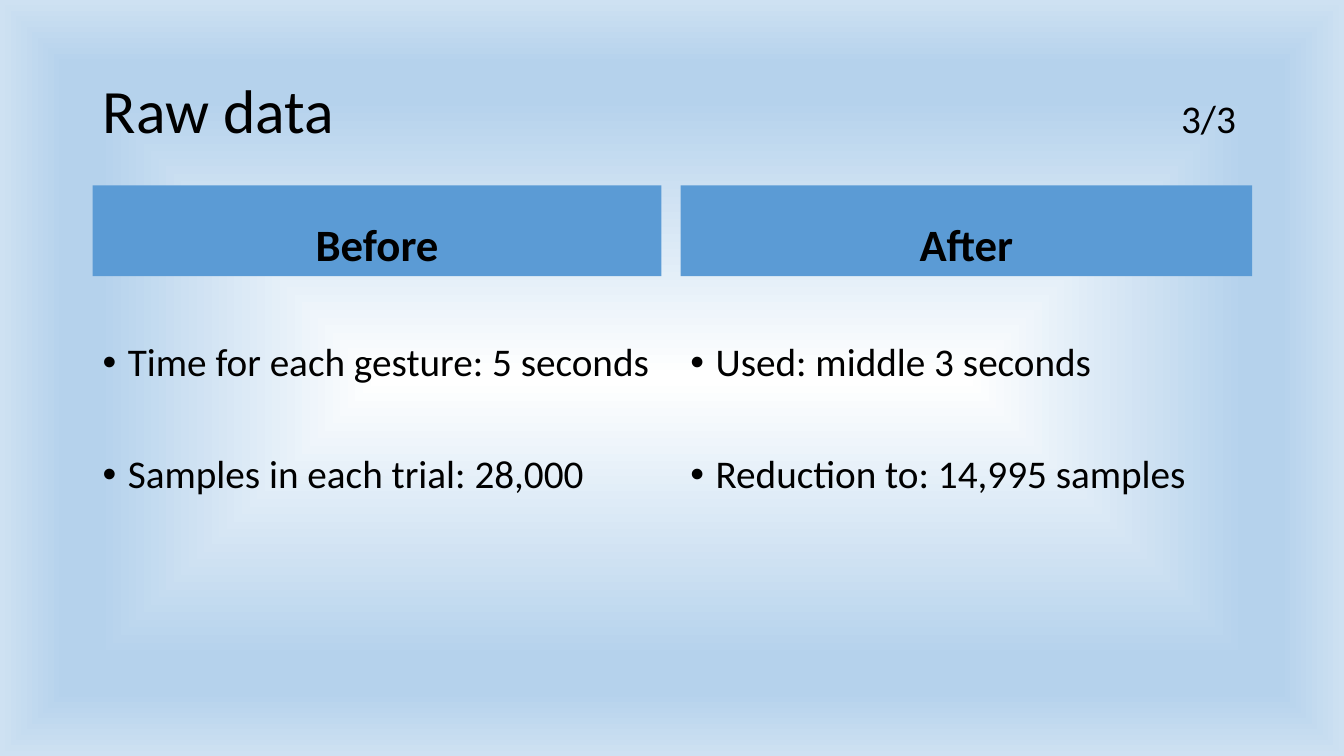
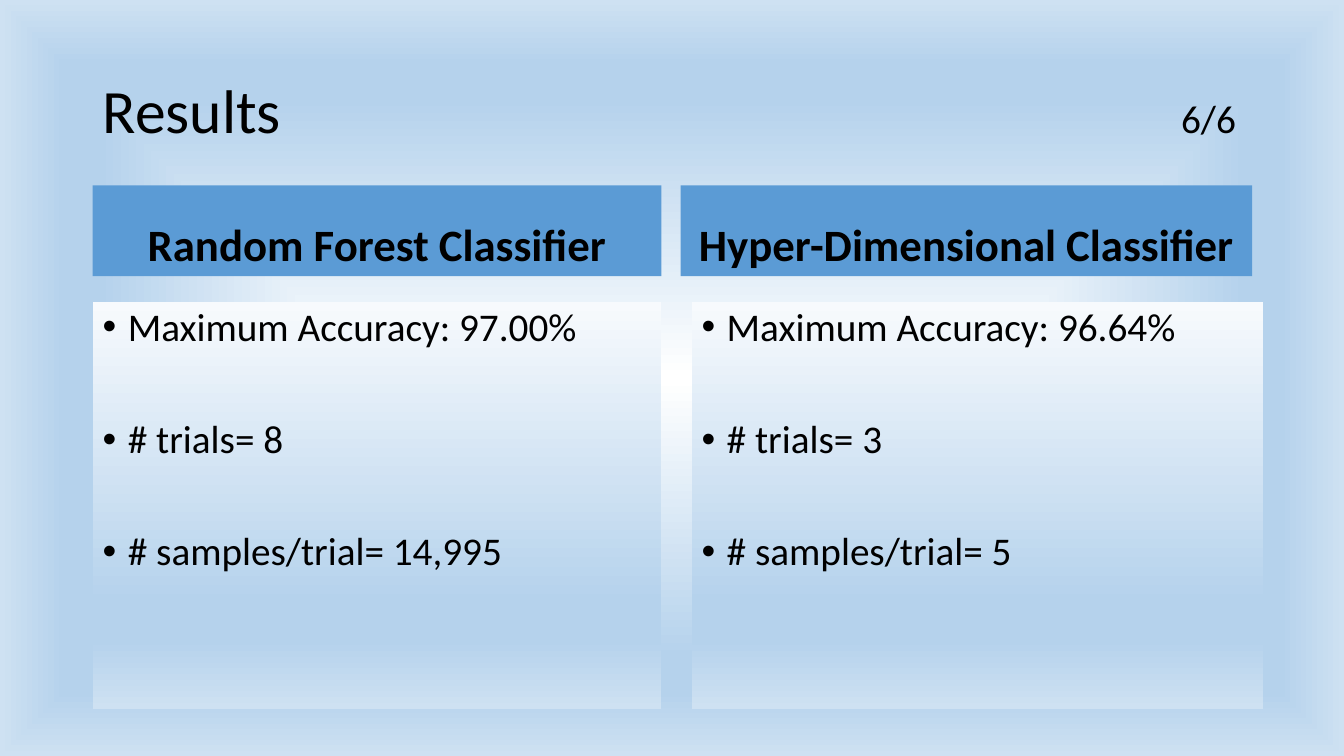
from lxml import etree
from pptx import Presentation, util as u
from pptx.dml.color import RGBColor
from pptx.enum import shapes, text
from pptx.oxml import parse_xml
from pptx.oxml.ns import qn

# Shared look
FONT = "Calibri"
BLACK, BAND = "000000", "5B9BD5"
BLUES = [(74, "B5D2EC"), (83, "B5D2EC"), (100, "CEE1F2")]
CENTER_STOPS = [(0, "FFFFFF", 60)] + BLUES
PANEL_STOPS = [(0, "F7FAFD")] + BLUES
FROM_CENTER = ('<a:path path="shape"><a:fillToRect l="50000" t="50000" '
               'r="50000" b="50000"/></a:path>')
DOWNWARD = '<a:lin ang="5400000" scaled="0"/>'

TITLE_STYLE = {"size": u.Pt(44), "bold": False}
NUMBER_STYLE = {"size": u.Pt(28), "bold": False}
HEADING_STYLE = {"size": u.Pt(32), "bold": True}
BULLET_STYLE = {"size": u.Pt(28), "bold": False}

# Shared grid: left edge and width of each column, in inches
COLUMNS = [(0.92, 5.64), (6.75, 5.67)]
BAND_TOP, BAND_HEIGHT, BODY_HEIGHT = 1.84, 0.9, 4.03
NUMBER_TAB = 11.24

SLIDES = [
    {"title": "Raw data", "number": "3/3", "panel": False,
     "body_top": 2.74, "inset": 0.66, "shifts": (0, 0),
     "columns": [
         ("Before", ["Time for each gesture: 5 seconds",
                     "Samples in each trial: 28,000"]),
         ("After", ["Used: middle 3 seconds",
                    "Reduction to: 14,995 samples"])]},
    {"title": "Results", "number": "6/6", "panel": True,
     "body_top": 3, "inset": 0.05, "shifts": (0, 0.11),
     "columns": [
         ("Random Forest Classifier",
          ["Maximum Accuracy: 97.00%", "# trials= 8",
           "# samples/trial= 14,995"]),
         ("Hyper-Dimensional Classifier",
          ["Maximum Accuracy: 96.64%", "# trials= 3",
           "# samples/trial= 5"])]},
]


def color(value):
    return RGBColor.from_string(value)


def set_gradient(properties, stops, direction):
    """Swap the solid fill in properties for a gradient."""
    marks = ""
    for position, value, *alpha in stops:
        clear = f'<a:alpha val="{alpha[0] * 1000}"/>' if alpha else ""
        marks += (f'<a:gs pos="{position * 1000}"><a:srgbClr val="{value}">'
                  f'{clear}</a:srgbClr></a:gs>')
    gradient = parse_xml(
        '<a:gradFill xmlns:a="http://schemas.openxmlformats.org/drawingml/2006/main" '
        f'rotWithShape="1"><a:gsLst>{marks}</a:gsLst>{direction}</a:gradFill>')
    properties.replace(properties.find(qn("a:solidFill")), gradient)


def add_span(para, words, style):
    span = para.add_run()
    span.text = words
    span.font.name = FONT
    span.font.color.rgb = color(BLACK)
    for name, value in style.items():
        setattr(span.font, name, value)


def format_frame(box, anchor, inset=0.05):
    frame = box.text_frame
    settings = {"word_wrap": True, "vertical_anchor": anchor,
                "margin_left": u.Inches(0.1), "margin_right": u.Inches(0.1),
                "margin_top": u.Inches(inset), "margin_bottom": u.Inches(0.05)}
    for name, value in settings.items():
        setattr(frame, name, value)
    return frame


def format_para(para, align=text.PP_ALIGN.LEFT, before=0):
    settings = {"alignment": align, "line_spacing": 0.9,
                "space_before": u.Pt(before)}
    for name, value in settings.items():
        setattr(para, name, value)


def add_block(page, left, top, width, height, fill):
    box = page.shapes.add_shape(
        shapes.MSO_SHAPE.RECTANGLE,
        *(u.Inches(value) for value in (left, top, width, height)))
    box.shadow.inherit = False
    box.line.fill.background()
    box.fill.solid()
    box.fill.fore_color.rgb = color(fill)
    return box


def add_title(page, title, number):
    box = page.shapes.add_textbox(
        *(u.Inches(value) for value in (0.92, 0.4, 11.5, 1.45)))
    para = format_frame(box, text.MSO_ANCHOR.MIDDLE).paragraphs[0]
    format_para(para)
    # A right tab holds the page number at the right edge
    tabs = etree.SubElement(para._p.get_or_add_pPr(), qn("a:tabLst"))
    etree.SubElement(tabs, qn("a:tab"), pos=str(u.Inches(NUMBER_TAB)), algn="r")
    add_span(para, title + "\t", TITLE_STYLE)
    add_span(para, number, NUMBER_STYLE)


def add_heading(page, left, width, words):
    box = add_block(page, left, BAND_TOP, width, BAND_HEIGHT, BAND)
    para = format_frame(box, text.MSO_ANCHOR.BOTTOM).paragraphs[0]
    format_para(para, text.PP_ALIGN.CENTER)
    add_span(para, words, HEADING_STYLE)


def add_bullets(page, left, width, items, content):
    top = content["body_top"]
    if content["panel"]:
        box = add_block(page, left, top, width, BODY_HEIGHT, BLUES[0][1])
        set_gradient(box._element.spPr, PANEL_STOPS, DOWNWARD)
    else:
        box = page.shapes.add_textbox(
            *(u.Inches(value) for value in (left, top, width, BODY_HEIGHT)))
    frame = format_frame(box, text.MSO_ANCHOR.TOP, content["inset"])
    for index, item in enumerate(items):
        para = frame.add_paragraph() if index else frame.paragraphs[0]
        format_para(para, before=50 if index else 0)
        properties = para._p.get_or_add_pPr()
        properties.set("marL", str(u.Inches(0.25)))
        properties.set("indent", str(u.Inches(-0.25)))
        etree.SubElement(properties, qn("a:buFont"), typeface="Arial")
        etree.SubElement(properties, qn("a:buChar"), char="•")
        add_span(para, item, BULLET_STYLE)


def set_background(master):
    master.background.fill.solid()
    properties = next(master.element.iter(qn("p:bgPr")))
    set_gradient(properties, CENTER_STOPS, FROM_CENTER)


def main():
    deck = Presentation()
    deck.slide_width, deck.slide_height = u.Inches(13.33), u.Inches(7.5)
    set_background(deck.slide_master)
    for content in SLIDES:
        page = deck.slides.add_slide(deck.slide_layouts[6])
        add_title(page, content["title"], content["number"])
        for (left, width), shift, (heading, items) in zip(
                COLUMNS, content["shifts"], content["columns"]):
            add_heading(page, left, width, heading)
            add_bullets(page, left + shift, width, items, content)
    deck.save("out.pptx")


if __name__ == "__main__":
    main()
